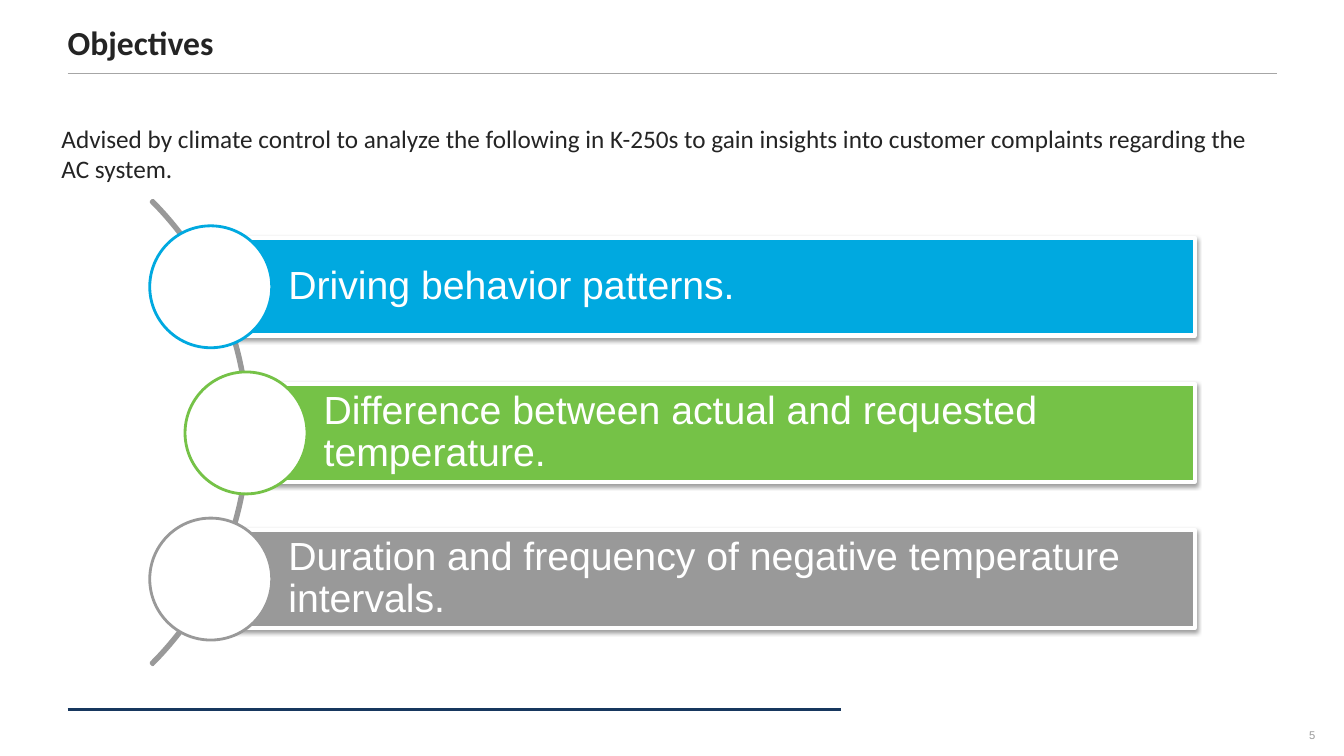
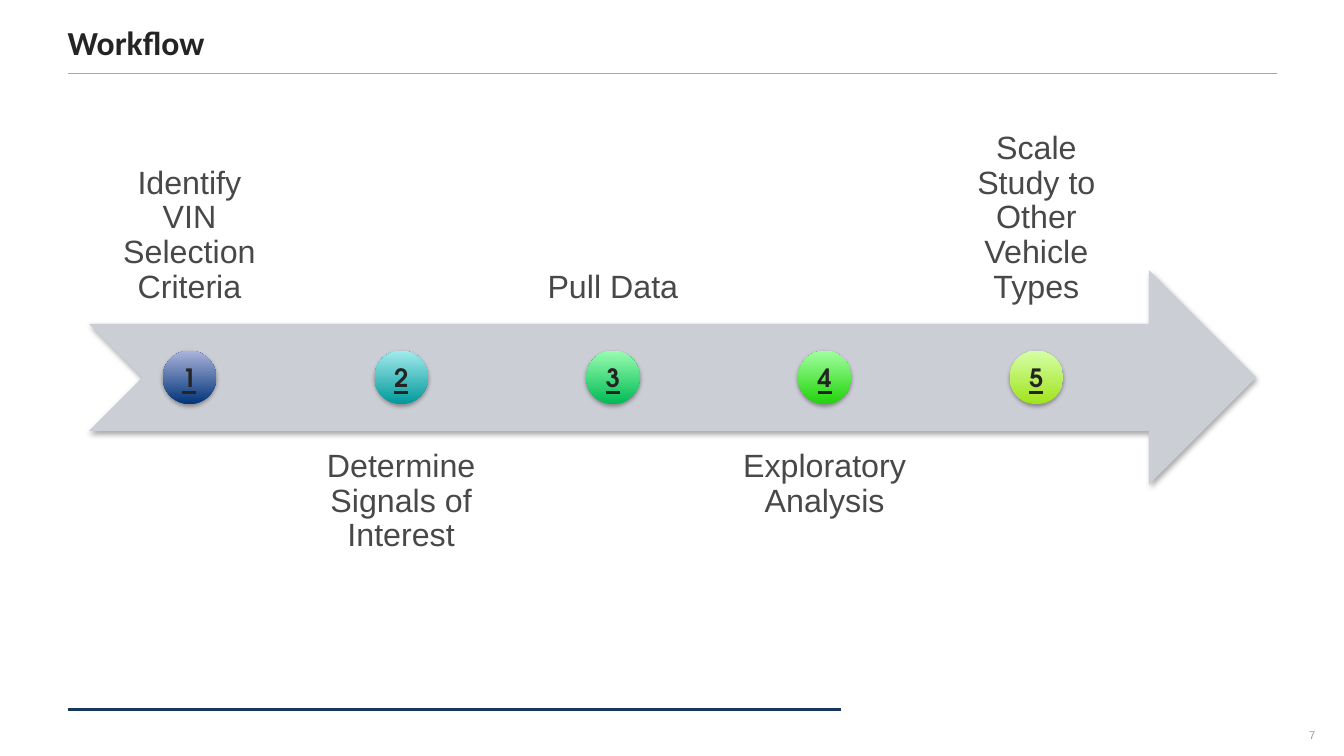
from dataclasses import dataclass

from lxml import etree
from pptx import Presentation
from pptx import util as u
from pptx.dml.color import RGBColor
from pptx.enum import shapes, text
from pptx.oxml.ns import qn

Inches = u.Inches
SHAPE = shapes.MSO_SHAPE
ANCHOR = text.MSO_ANCHOR
ALIGN = text.PP_ALIGN


@dataclass(frozen=True)
class Theme:
    ink: str = "242424"
    label: str = "474847"
    white: str = "FFFFFF"
    gray: str = "999999"
    rule: str = "A6A6A6"
    navy: str = "17375E"
    blue: str = "00A9E0"
    green: str = "75C247"
    arrow: str = "CCCED6"
    heading_font: str = "Calibri"
    body_font: str = "Arial"
    number_font: str = "TeX Gyre Adventor"
    title_size: int = 24
    intro_size: int = 18
    bar_size: int = 28
    label_size: int = 23
    number_size: int = 18
    page_size: int = 8


THEME = Theme()
HEADING_INSETS = (0, 0.05, 0.1, 0.05)


def rgb(color):
    return RGBColor.from_string(color)


def write(shape, content, *, size, color, font=THEME.body_font, bold=False,
          underline=False, align=ALIGN.LEFT, anchor=ANCHOR.TOP,
          insets=(0, 0, 0, 0), spacing=None, wrap=True):
    """Put one formatted paragraph in a shape; insets are left, top, right, bottom."""
    frame = shape.text_frame
    frame.auto_size = text.MSO_AUTO_SIZE.NONE
    frame.word_wrap = wrap
    frame.vertical_anchor = anchor
    frame.margin_left, frame.margin_top, frame.margin_right, frame.margin_bottom = map(
        Inches, insets)
    paragraph = frame.paragraphs[0]
    paragraph.alignment = align
    paragraph.line_spacing = spacing
    run = paragraph.add_run()
    run.text = content
    run.font.name = font
    run.font.size = u.Pt(size)
    run.font.bold = bold
    run.font.underline = underline
    run.font.color.rgb = rgb(color)


class Deck:
    def __init__(self, theme):
        self.theme = theme
        self.presentation = Presentation()
        self.presentation.slide_width = Inches(13.33)
        self.presentation.slide_height = Inches(7.5)
        self.slide = None

    def add_slide(self, title, page):
        """Start a slide with its title, two rules and page number."""
        theme = self.theme
        self.slide = self.presentation.slides.add_slide(
            self.presentation.slide_layouts[5])
        heading = self.slide.shapes.title
        heading.left, heading.top, heading.width, heading.height = map(
            Inches, (0.67, 0.16, 12, 0.51))
        write(heading, title, size=theme.title_size, color=theme.ink,
              font=theme.heading_font, bold=True, anchor=ANCHOR.BOTTOM,
              insets=HEADING_INSETS)
        self.rule(0.67, 12.67, 0.73, theme.rule, 1)
        self.rule(0.67, 8.34, 7.04, theme.navy, 2.25)
        self.text_box((12.69, 7.09, 0.65, 0.4), page, size=theme.page_size,
                      color=theme.gray, align=ALIGN.CENTER, anchor=ANCHOR.MIDDLE)

    def rule(self, left, right, y, color, width):
        line = self.slide.shapes.add_connector(
            shapes.MSO_CONNECTOR.STRAIGHT,
            Inches(left), Inches(y), Inches(right), Inches(y))
        line.line.color.rgb = rgb(color)
        line.line.width = u.Pt(width)
        etree.SubElement(line._element.spPr, qn("a:effectLst"))

    def text_box(self, box, content, **style):
        write(self.slide.shapes.add_textbox(*map(Inches, box)), content, **style)

    def shape(self, kind, box, *, fill=None, line=None, width=1, shadow=None):
        """Draw a preset; fill is a colour or (start, end), shadow is (alpha %, distance pt)."""
        shape = self.slide.shapes.add_shape(kind, *map(Inches, box))
        if fill is None:
            shape.fill.background()
        elif isinstance(fill, str):
            shape.fill.solid()
            shape.fill.fore_color.rgb = rgb(fill)
        else:
            shape.fill.gradient()
            shape.fill.gradient_angle = 90
            for stop, color, position in zip(shape.fill.gradient_stops, fill, (0, 1)):
                stop.color.rgb = rgb(color)
                stop.position = position
        if line:
            shape.line.color.rgb = rgb(line)
            shape.line.width = u.Pt(width)
        else:
            shape.line.fill.background()
        shape.shadow.inherit = False
        if shadow:
            self.cast_shadow(shape, *shadow)
        return shape

    def cast_shadow(self, shape, alpha, distance):
        effects = shape._element.spPr.find(qn("a:effectLst"))
        outer = etree.SubElement(
            effects, qn("a:outerShdw"), blurRad=str(u.Pt(3.1)),
            dist=str(u.Pt(distance)), dir="5400000", rotWithShape="0")
        color = etree.SubElement(outer, qn("a:srgbClr"), val="000000")
        etree.SubElement(color, qn("a:alpha"), val=str(alpha * 1000))


def add_objectives(deck):
    theme = deck.theme
    deck.add_slide("Objectives", "5")
    deck.text_box(
        (0.61, 1.17, 12, 0.75),
        "Advised by climate control to analyze the following in K-250s to gain "
        "insights into customer complaints regarding the AC system.",
        size=theme.intro_size, color=theme.ink, font=theme.heading_font,
        insets=HEADING_INSETS)

    arc = deck.shape(SHAPE.BLOCK_ARC, (-4.05, 1.03, 6.52, 6.52),
                     line=theme.gray, width=2)
    for index, value in enumerate((189, 27, 0.004)):
        arc.adjustments[index] = value

    objectives = (
        ("Driving behavior patterns.", theme.blue, 2.09),
        ("Difference between actual and requested temperature.", theme.green, 2.44),
        ("Duration and frequency of negative temperature intervals.", theme.gray, 2.09),
    )
    bar_right, bar_height, circle_size = 11.85, 0.97, 1.21
    for index, (objective, color, left) in enumerate(objectives):
        top = 2.36 + 1.45 * index
        bar = deck.shape(SHAPE.RECTANGLE, (left, top, bar_right - left, bar_height),
                         fill=color, line=theme.white, width=3, shadow=(38, 1.6))
        write(bar, objective, size=theme.bar_size, color=theme.white,
              anchor=ANCHOR.MIDDLE, insets=(0.77, 0.08, 0.08, 0.08), spacing=0.9)
        deck.shape(SHAPE.OVAL,
                   (left - circle_size / 2, top + (bar_height - circle_size) / 2,
                    circle_size, circle_size),
                   fill=theme.white, line=color, width=2)


def add_workflow(deck):
    theme = deck.theme
    deck.add_slide("Workflow", "7")
    shadow = (35, 1.8)
    deck.shape(SHAPE.NOTCHED_RIGHT_ARROW, (0.88, 2.68, 11.58, 2.13),
               fill=theme.arrow, shadow=shadow)

    steps = (
        ("Identify VIN Selection Criteria", ("003478", "ABB3DC")),
        ("Determine Signals of Interest", ("00989A", "A2EBEC")),
        ("Pull Data", ("00BB54", "99FDB0")),
        ("Exploratory Analysis", ("20D30A", "A2FF9F")),
        ("Scale Study to Other Vehicle Types", ("A1E31C", "D5FFA7")),
    )
    label_width, circle_size = 2, 0.53
    for index, (step, gradient) in enumerate(steps):
        center = 1.88 + 2.1 * index
        top, anchor = (4.28, ANCHOR.TOP) if index % 2 else (1.08, ANCHOR.BOTTOM)
        deck.text_box((center - label_width / 2, top, label_width, 2.13), step,
                      size=theme.label_size, color=theme.label, align=ALIGN.CENTER,
                      anchor=anchor, insets=(0.18,) * 4, spacing=0.9)
        circle = deck.shape(SHAPE.OVAL,
                            (center - circle_size / 2, 3.48, circle_size, circle_size),
                            fill=gradient, shadow=shadow)
        write(circle, str(index + 1), size=theme.number_size, color=theme.ink,
              font=theme.number_font, bold=True, underline=True,
              align=ALIGN.CENTER, anchor=ANCHOR.MIDDLE, wrap=False)


def main():
    deck = Deck(THEME)
    add_objectives(deck)
    add_workflow(deck)
    deck.presentation.save("out.pptx")


if __name__ == "__main__":
    main()
